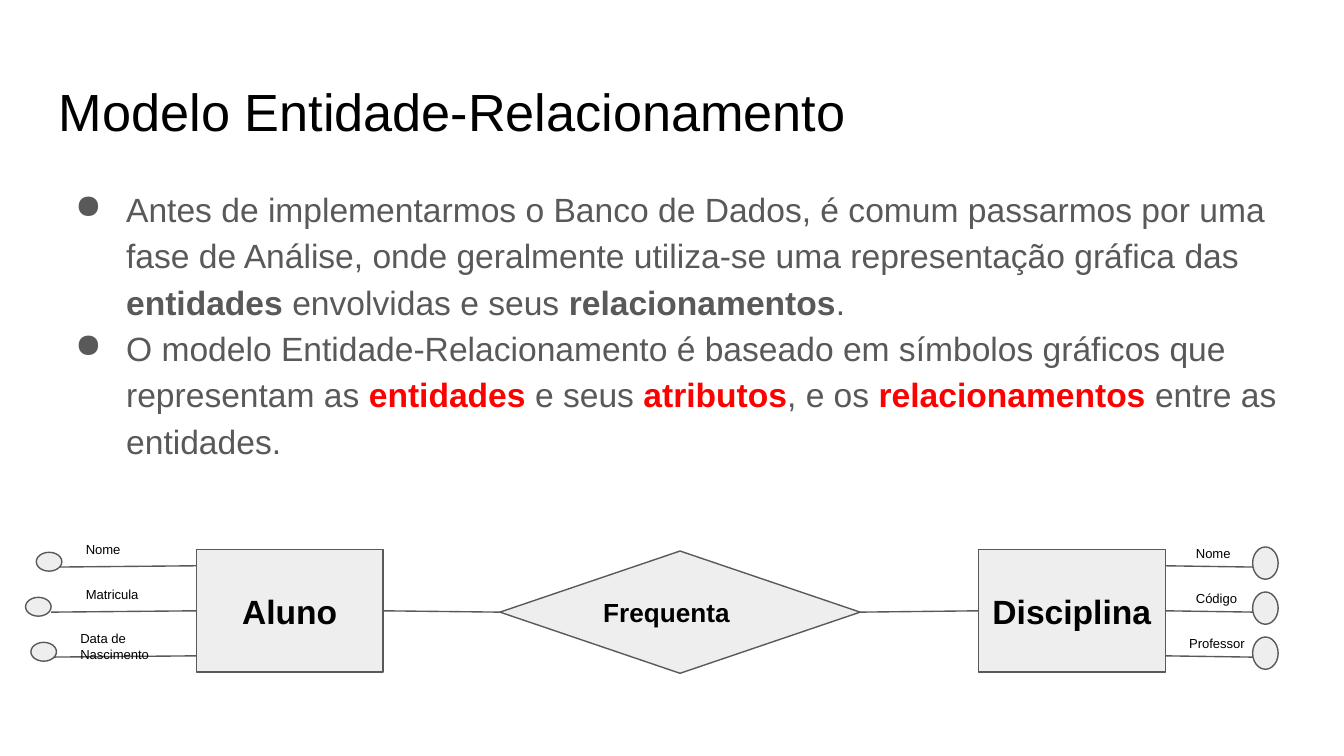
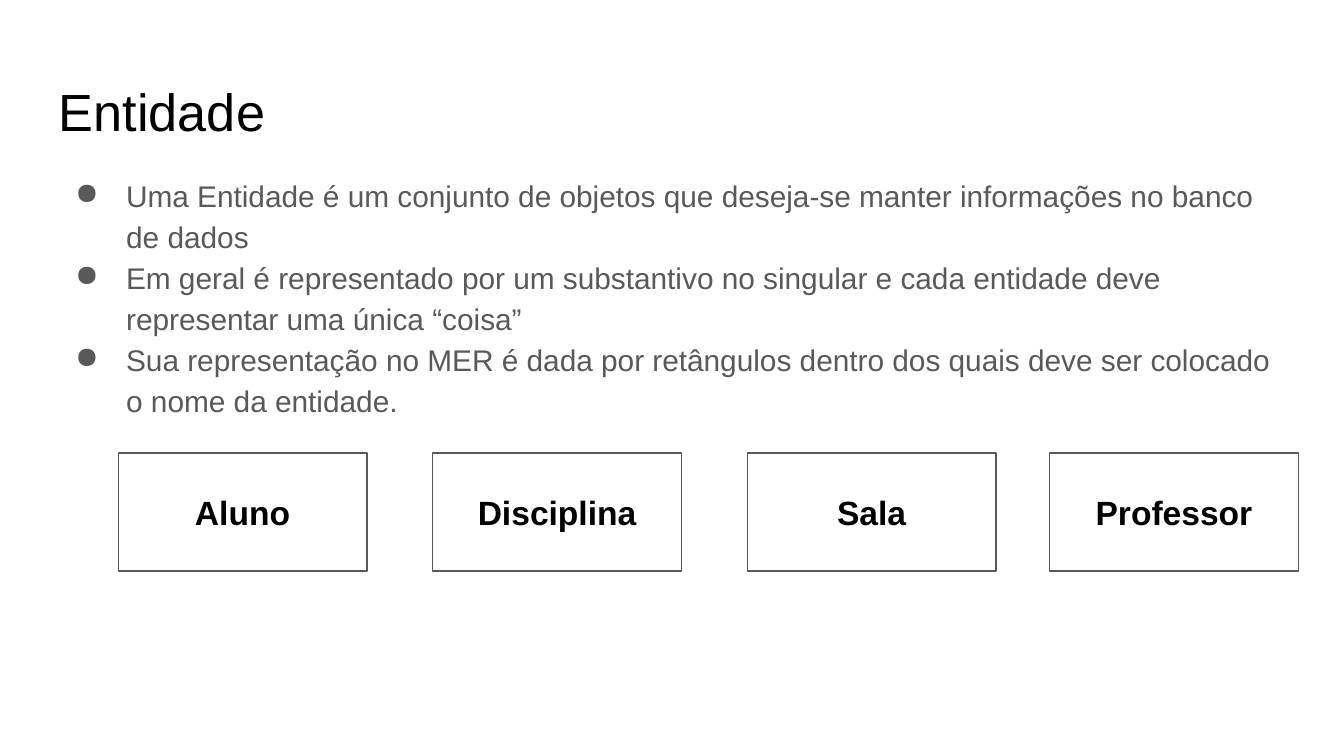
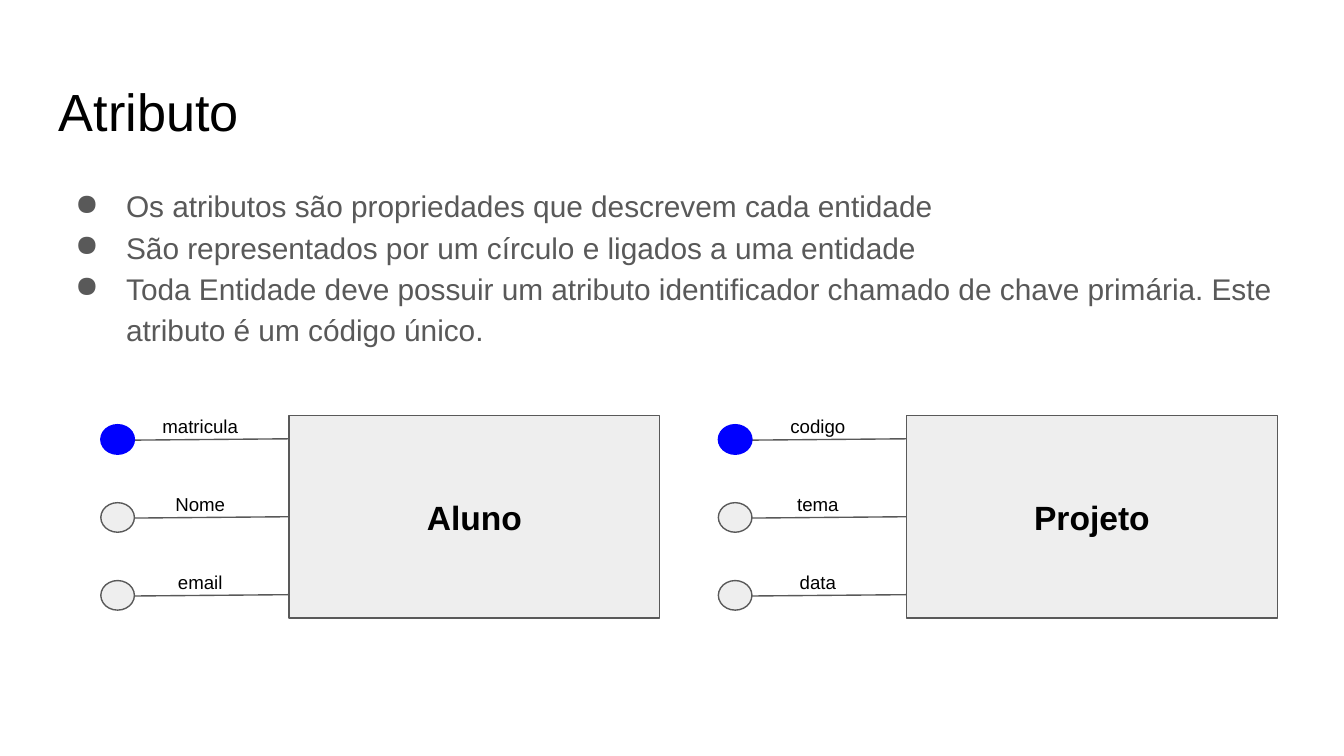
from dataclasses import dataclass
from typing import NamedTuple

from lxml import etree
from pptx import Presentation
from pptx.dml.color import RGBColor
from pptx.enum.shapes import MSO_CONNECTOR, MSO_SHAPE
from pptx.enum.text import MSO_ANCHOR, PP_ALIGN
from pptx.oxml.ns import qn
from pptx.util import Inches, Pt

RECTANGLE = MSO_SHAPE.RECTANGLE
DIAMOND = MSO_SHAPE.FLOWCHART_DECISION
ELLIPSE = MSO_SHAPE.OVAL
STRAIGHT = MSO_CONNECTOR.STRAIGHT
LEFT, CENTER = PP_ALIGN.LEFT, PP_ALIGN.CENTER
TOP, MIDDLE = MSO_ANCHOR.TOP, MSO_ANCHOR.MIDDLE
LEFT_SIDE, RIGHT_SIDE = 1, 3

BLACK = RGBColor(0x00, 0x00, 0x00)
WHITE = RGBColor(0xFF, 0xFF, 0xFF)
GRAY = RGBColor(0x59, 0x59, 0x59)
PALE = RGBColor(0xEE, 0xEE, 0xEE)
RED = RGBColor(0xFF, 0x00, 0x00)
BLUE = RGBColor(0x00, 0x00, 0xFF)

# Square grid: 100 columns across the slide, 56.25 rows down
SLIDE_WIDTH = Inches(10)
CELL = SLIDE_WIDTH / 100
ROWS = 56.25
FONT = "Arial"
LINE_WIDTH = Pt(0.75)


def cells(count: float) -> int:
    return round(count * CELL)


class Area(NamedTuple):
    left: float
    top: float
    width: float
    height: float

    def lengths(self) -> list[int]:
        return [cells(value) for value in self]


class Span(NamedTuple):
    text: str
    color: RGBColor = GRAY
    bold: bool = False


class Attribute(NamedTuple):
    """Horizontal distances are counted from the entity's side."""
    name: str
    circle: float
    label: float
    line_end: float
    key: bool = False


@dataclass(frozen=True)
class AttributeStyle:
    """Vertical distances are counted from the attribute's line."""
    side: int
    step: float
    circle_size: tuple[float, float]
    circle_rise: float
    label_size: tuple[float, float]
    label_rise: float
    font_size: float
    align: PP_ALIGN = LEFT


TITLE_AREA = Area(3.4, 4.9, 93.2, 6.3)
LINE_DROP = 0.1
SMALL_LEFT = AttributeStyle(LEFT_SIDE, 3.35, (1.9, 1.4), 1, (7.4, 1.5), 2.4, 7)
SMALL_RIGHT = AttributeStyle(RIGHT_SIDE, 3.35, (1.9, 2.4), 1.4, (6.7, 2.2), 2.1, 7)
LARGE_LEFT = AttributeStyle(LEFT_SIDE, 5.8, (2.5, 2.2), 1.05, (8.6, 3.5), 2.65, 10, CENTER)


# Text
def write(shape, paragraphs: list[list[Span]], *, size: float, align=LEFT,
          anchor=TOP, bullets: bool = False) -> None:
    frame = shape.text_frame
    frame.word_wrap = True
    frame.vertical_anchor = anchor
    frame.margin_left = frame.margin_right = cells(1)
    frame.margin_top = frame.margin_bottom = cells(1)
    for index, spans in enumerate(paragraphs):
        para = frame.add_paragraph() if index else frame.paragraphs[0]
        para.alignment = align
        if bullets:
            add_bullet(para)
        for span in spans:
            run = para.add_run()
            run.text = span.text
            run.font.name = FONT
            run.font.size = Pt(size)
            run.font.bold = span.bold
            run.font.color.rgb = span.color


def add_bullet(para) -> None:
    para.line_spacing = 1.15
    properties = para._p.get_or_add_pPr()
    properties.set("marL", str(cells(5)))
    properties.set("indent", str(cells(-3.8)))
    color = etree.SubElement(properties, qn("a:buClr"))
    etree.SubElement(color, qn("a:srgbClr"), val=str(GRAY))
    etree.SubElement(properties, qn("a:buChar"), char="●")


def add_text(slide, area: Area, paragraphs: list[list[Span]], **text_format) -> None:
    write(slide.shapes.add_textbox(*area.lengths()), paragraphs, **text_format)


# Diagram parts
def add_figure(slide, kind, area: Area, fill: RGBColor, line: RGBColor = GRAY):
    shape = slide.shapes.add_shape(kind, *area.lengths())
    shape.shadow.inherit = False
    shape.fill.solid()
    shape.fill.fore_color.rgb = fill
    shape.line.color.rgb = line
    shape.line.width = LINE_WIDTH
    return shape


def add_entity(slide, name: str, area: Area, fill: RGBColor = PALE):
    entity = add_figure(slide, RECTANGLE, area, fill)
    write(entity, [[Span(name, BLACK, True)]], size=18, align=CENTER, anchor=MIDDLE)
    return entity


def add_line(slide, start: tuple[int, int], end: tuple[int, int]):
    line = slide.shapes.add_connector(STRAIGHT, *start, *end)
    line.line.color.rgb = GRAY
    line.line.width = LINE_WIDTH
    etree.SubElement(line._element.spPr, qn("a:effectLst"))
    return line


def join(slide, first, second) -> None:
    line = add_line(slide, (0, 0), (0, 0))
    line.begin_connect(first, RIGHT_SIDE)
    line.end_connect(second, LEFT_SIDE)


def add_attributes(slide, entity, attributes: list[Attribute], style: AttributeStyle) -> None:
    edge_length = entity.left + (entity.width if style.side == RIGHT_SIDE else 0)
    edge = edge_length / CELL
    center = (entity.top + entity.height / 2) / CELL
    middle = len(attributes) // 2
    for index, attribute in enumerate(attributes):
        row = center + (index - middle) * style.step
        line = add_line(slide, (edge_length, cells(row)),
                        (cells(edge + attribute.line_end), cells(row + LINE_DROP)))
        if index == middle:
            line.begin_connect(entity, style.side)
        circle = Area(edge + attribute.circle, row - style.circle_rise, *style.circle_size)
        fill, outline = (BLUE, BLUE) if attribute.key else (PALE, GRAY)
        add_figure(slide, ELLIPSE, circle, fill, outline)
        label = Area(edge + attribute.label, row - style.label_rise, *style.label_size)
        add_text(slide, label, [[Span(attribute.name, BLACK)]],
                 size=style.font_size, align=style.align)


# Slides
def add_page(deck, title: str, body: list[list[Span]], *, top: float,
             height: float, size: float):
    slide = deck.slides.add_slide(deck.slide_layouts[6])
    add_text(slide, TITLE_AREA, [[Span(title, BLACK)]], size=28)
    body_area = Area(TITLE_AREA.left, top, TITLE_AREA.width, height)
    add_text(slide, body_area, body, size=size, bullets=True)
    return slide


def build_model(deck) -> None:
    slide = add_page(deck, "Modelo Entidade-Relacionamento", [
        [Span("Antes de implementarmos o Banco de Dados, é comum passarmos por uma fase de "
              "Análise, onde geralmente utiliza-se uma representação gráfica das "),
         Span("entidades", bold=True), Span(" envolvidas e seus "),
         Span("relacionamentos", bold=True), Span(".")],
        [Span("O modelo Entidade-Relacionamento é baseado em símbolos gráficos que "
              "representam as "),
         Span("entidades", RED, True), Span(" e seus "),
         Span("atributos", RED, True), Span(", e os "),
         Span("relacionamentos", RED, True), Span(" entre as entidades.")],
    ], top=12.6, height=37.4, size=18)
    student = add_entity(slide, "Aluno", Area(14.6, 40.9, 13.9, 9.1))
    course = add_entity(slide, "Disciplina", Area(72.8, 40.9, 13.9, 9.1))
    relation = add_figure(slide, DIAMOND, Area(37.2, 41, 26.8, 9.1), PALE)
    write(relation, [[Span("Frequenta", BLACK, True)]], size=14, anchor=MIDDLE)
    join(slide, student, relation)
    join(slide, relation, course)
    add_attributes(slide, student, [
        Attribute("Nome", -11.9, -9.2, -10.8),
        Attribute("Matricula", -12.7, -9.2, -10.8),
        Attribute("Data de Nascimento", -12.3, -9.6, -11.3),
    ], SMALL_LEFT)
    add_attributes(slide, course, [
        Attribute("Nome", 6.5, 1.3, 6.7),
        Attribute("Código", 6.5, 1.3, 6.7),
        Attribute("Professor", 6.5, 0.8, 6.7),
    ], SMALL_RIGHT)


def build_entity(deck) -> None:
    slide = add_page(deck, "Entidade", [
        [Span("Uma Entidade é um conjunto de objetos que deseja-se manter informações no "
              "banco de dados")],
        [Span("Em geral é representado por um substantivo no singular e cada entidade deve "
              "representar uma única “coisa”")],
        [Span("Sua representação no MER é dada por retângulos dentro dos quais deve ser "
              "colocado o nome da entidade.")],
    ], top=11.8, height=32.6, size=16)
    columns = {"Aluno": 8.8, "Disciplina": 32.2, "Sala": 55.6, "Professor": 78.1}
    for name, left in columns.items():
        add_entity(slide, name, Area(left, 33.7, 18.5, 8.8), WHITE)


def build_attribute(deck) -> None:
    slide = add_page(deck, "Atributo", [
        [Span("Os atributos são propriedades que descrevem cada entidade")],
        [Span("São representados por um círculo e ligados a uma entidade")],
        [Span("Toda Entidade deve possuir um atributo identificador chamado de chave "
              "primária. Este atributo é um código único.")],
    ], top=12.6, height=15.5, size=16)
    entities = {"Aluno": ["matricula", "Nome", "email"],
                "Projeto": ["codigo", "tema", "data"]}
    for index, (entity_name, names) in enumerate(entities.items()):
        entity = add_entity(slide, entity_name, Area(21.5 + index * 45.95, 30.9, 27.6, 15.1))
        attributes = [Attribute(name, -14, -10.9, -11.5, key=name == names[0])
                      for name in names]
        add_attributes(slide, entity, attributes, LARGE_LEFT)


def main() -> None:
    deck = Presentation()
    deck.slide_width = SLIDE_WIDTH
    deck.slide_height = cells(ROWS)
    build_model(deck)
    build_entity(deck)
    build_attribute(deck)
    deck.save("out.pptx")


if __name__ == "__main__":
    main()
